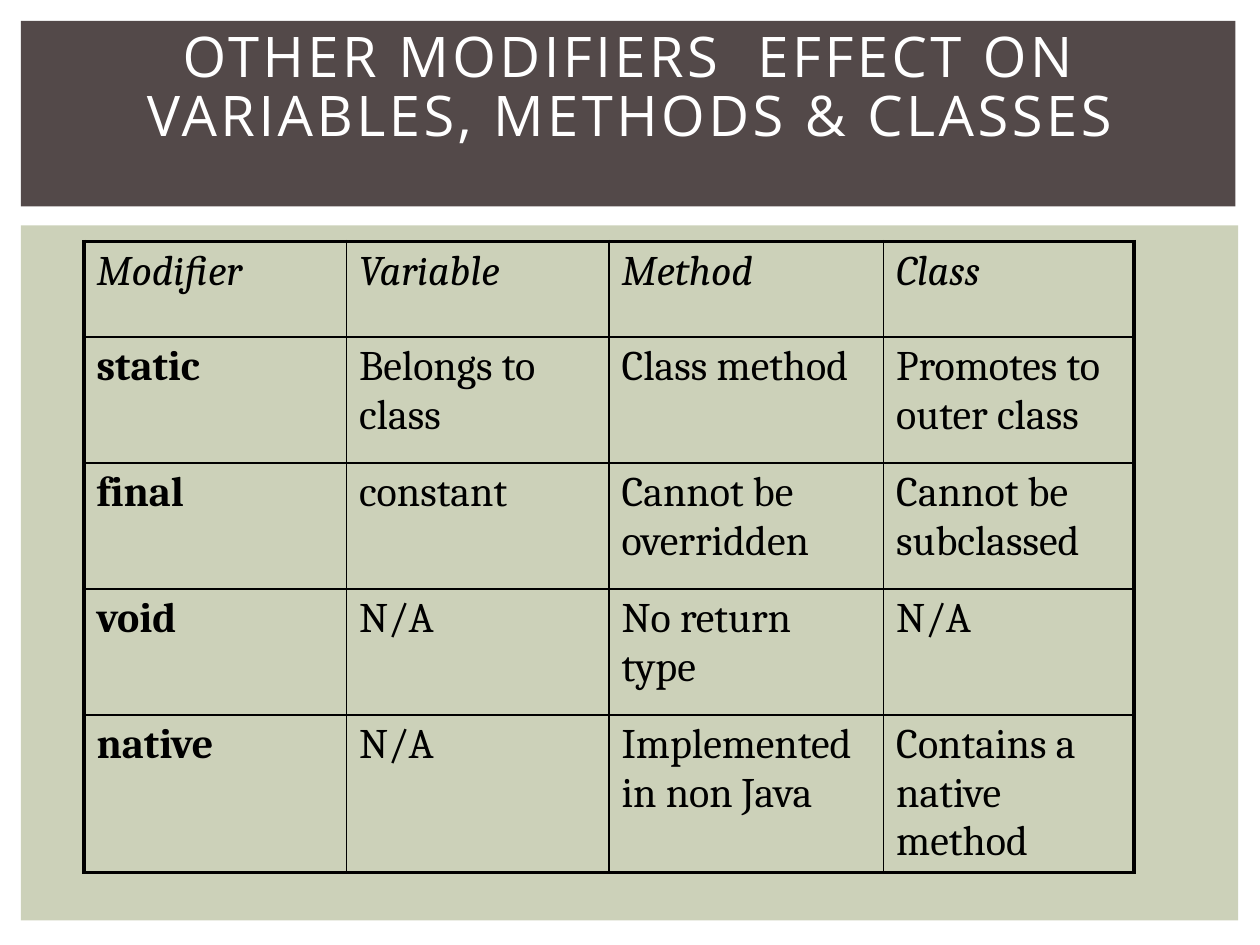
import dataclasses

import lxml.etree
import pptx
import pptx.dml.color
import pptx.enum.shapes
import pptx.enum.text
import pptx.oxml
import pptx.oxml.ns
import pptx.util

Pt = pptx.util.Pt
qn = pptx.oxml.ns.qn
RGB = pptx.dml.color.RGBColor


@dataclasses.dataclass(frozen=True)
class Theme:
    """Colours, fonts and type sizes of the slide."""
    banner: RGB = RGB(0x53, 0x49, 0x49)
    panel: RGB = RGB(0xCC, 0xD1, 0xB9)
    heading: RGB = RGB(0xFF, 0xFF, 0xFF)
    ink: RGB = RGB(0, 0, 0)
    heading_font: str = "Open Sans"
    body_font: str = "Cambria"
    heading_size: float = 32
    body_size: float = 24
    frame_width: float = 2.25
    rule_width: float = 1


THEME = Theme()
HEADING = "OTHER MODIFIERS  EFFECT ON VARIABLES, METHODS & CLASSES"
MODIFIERS = [
    ("Modifier", "Variable", "Method", "Class"),
    ("static", "Belongs to class", "Class method", "Promotes to outer class"),
    ("final", "constant", "Cannot be overridden", "Cannot be subclassed"),
    ("void", "N/A", "No return type", "N/A"),
    ("native", "N/A", "Implemented in non Java", "Contains a native method"),
]
COLUMN_WIDTHS = (150, 150, 157, 143)
ROW_HEIGHTS = (54.5, 72, 72, 72, 85)


def apply_format(target, values):
    """Set each named attribute of the target."""
    for name, value in values.items():
        setattr(target, name, value)


def add_panel(slide, box, colour):
    """Fill the box with a plain rectangle."""
    panel = slide.shapes.add_shape(
        pptx.enum.shapes.MSO_SHAPE.RECTANGLE, *map(Pt, box))
    panel.shadow.inherit = False
    panel.fill.solid()
    panel.fill.fore_color.rgb = colour
    panel.line.fill.background()


def add_banner(slide, box):
    """Draw the heading band and set the title near its top edge."""
    left, top, width, height = box
    add_panel(slide, box, THEME.banner)
    title = slide.shapes.title
    title.element.getparent().append(title.element)
    apply_format(title, {"left": Pt(left + 12), "top": Pt(top + 12),
                         "width": Pt(width - 22), "height": Pt(54)})
    apply_format(title.text_frame, {
        "text": HEADING, "word_wrap": True,
        "auto_size": pptx.enum.text.MSO_AUTO_SIZE.NONE,
        "vertical_anchor": pptx.enum.text.MSO_ANCHOR.MIDDLE})
    paragraph = title.text_frame.paragraphs[0]
    apply_format(paragraph, {"alignment": pptx.enum.text.PP_ALIGN.CENTER,
                             "line_spacing": 0.88})
    font = paragraph.runs[0].font
    apply_format(font, {"name": THEME.heading_font, "size": Pt(THEME.heading_size)})
    font.color.rgb = THEME.heading
    paragraph.runs[0].font._element.set("spc", "200")


def set_borders(cell, widths):
    """Draw the left, right, top and bottom cell borders."""
    properties = cell._tc.get_or_add_tcPr()
    for index, (side, width) in enumerate(zip("LRTB", widths)):
        border = lxml.etree.Element(qn(f"a:ln{side}"), w=str(Pt(width)))
        fill = lxml.etree.SubElement(border, qn("a:solidFill"))
        lxml.etree.SubElement(fill, qn("a:srgbClr"), val=str(THEME.ink))
        properties.insert(index, border)


def fill_cell(cell, wording, emphasis):
    """Write one cell without a background."""
    cell.fill.background()
    cell.text = wording
    paragraph = cell.text_frame.paragraphs[0]
    spacing = lxml.etree.SubElement(
        paragraph._p.get_or_add_pPr(), qn("a:spcBef"))
    lxml.etree.SubElement(spacing, qn("a:spcPct"), val="20000")
    font = paragraph.runs[0].font
    apply_format(font, {"name": THEME.body_font, "size": Pt(THEME.body_size),
                        **emphasis})
    font.color.rgb = THEME.ink


def add_modifier_table(slide, box):
    """Place the modifier table at the top left of the box, inset."""
    left, top = box[:2]
    rows, columns = len(MODIFIERS), len(MODIFIERS[0])
    table = slide.shapes.add_table(
        rows, columns, Pt(left + 36), Pt(top + 9.25),
        Pt(sum(COLUMN_WIDTHS)), Pt(sum(ROW_HEIGHTS))).table
    apply_format(table, {"first_row": False, "horz_banding": False})
    for column, width in zip(table.columns, COLUMN_WIDTHS):
        column.width = Pt(width)
    for row, height in zip(table.rows, ROW_HEIGHTS):
        row.height = Pt(height)
    for r, entries in enumerate(MODIFIERS):
        for c, wording in enumerate(entries):
            cell = table.cell(r, c)
            fill_cell(cell, wording, {"italic": r == 0, "bold": r > 0 and c == 0})
            outer = (c == 0, c == columns - 1, r == 0, r == rows - 1)
            set_borders(cell, [THEME.frame_width if edge else THEME.rule_width
                               for edge in outer])


def add_body(slide, box):
    """Draw the body panel with the modifier table on it."""
    add_panel(slide, box, THEME.panel)
    add_modifier_table(slide, box)


def build():
    """Build and save the presentation."""
    deck = pptx.Presentation()
    apply_format(deck, {"slide_width": Pt(720), "slide_height": Pt(540)})
    slide = deck.slides.add_slide(deck.slide_layouts[5])
    add_banner(slide, (12, 12, 694, 106))
    add_body(slide, (12, 128.75, 695.5, 397.25))
    deck.save("out.pptx")


build()
